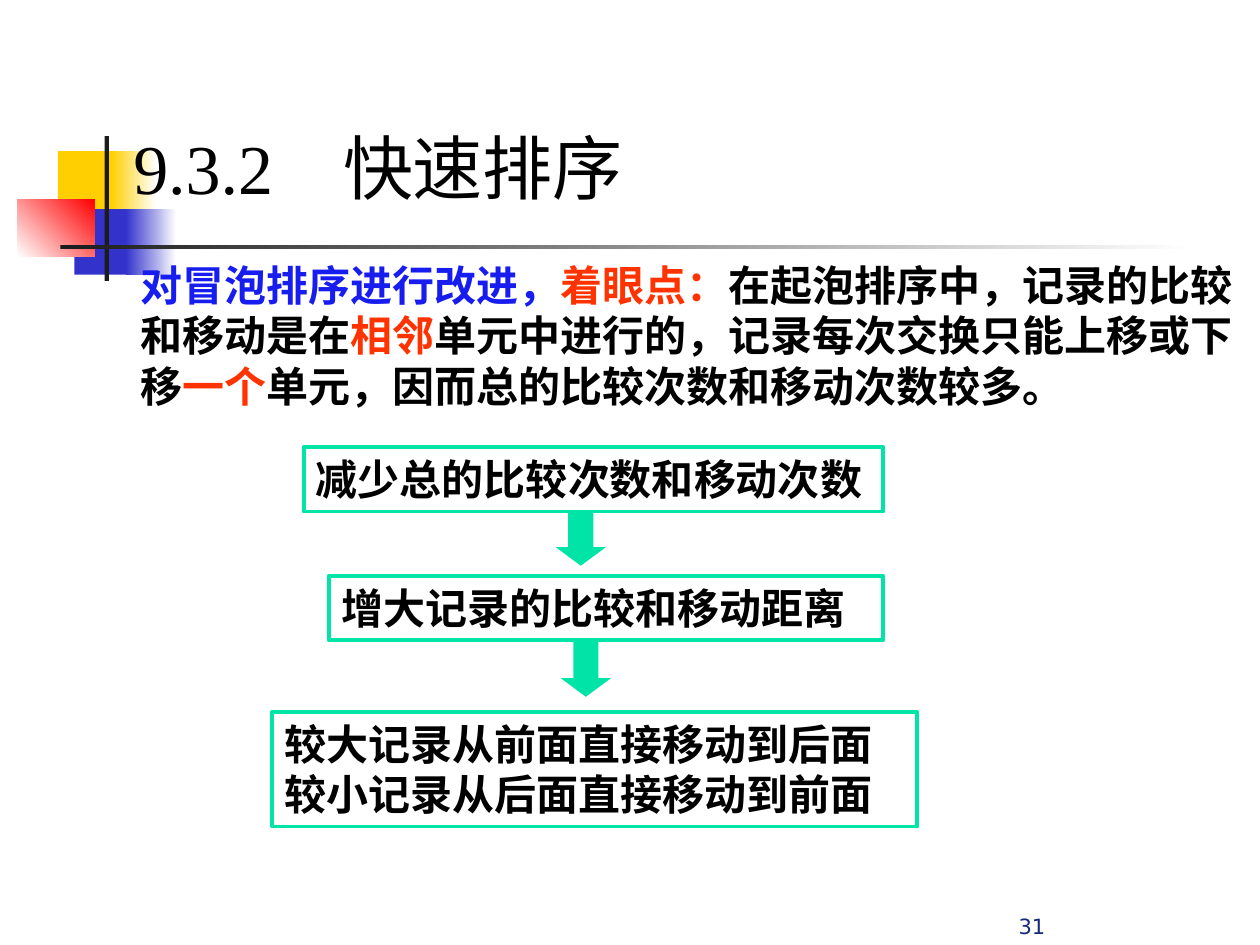
"""Build the quick sort slide: its idea and the chain of improvements over bubble sort."""
import pptx
import pptx.dml.color
import pptx.enum.lang
import pptx.enum.shapes
import pptx.enum.text
import pptx.oxml
import pptx.util

COLORS = {
    "yellow": "FFCF01", "indigo": "3333CC", "red": "FF0000", "white": "FFFFFF",
    "charcoal": "1C1C1C", "mint": "00E4A8", "black": "000000",
    "blue": "171CEF", "orange": "FF3300", "navy": "16297A",
}
RGB = {name: pptx.dml.color.RGBColor.from_string(value) for name, value in COLORS.items()}
SHAPES = pptx.enum.shapes.MSO_SHAPE
ANCHORS = pptx.enum.text.MSO_ANCHOR

presentation = pptx.Presentation()
presentation.slide_width = pptx.util.Inches(10)
presentation.slide_height = pptx.util.Inches(7.5)
column = presentation.slide_width / 100
row = presentation.slide_height / 75
slide = presentation.slides.add_slide(presentation.slide_layouts[6])


def add_block(kind, left, top, width, height, fills):
    area = [int(left * column), int(top * row), int(width * column), int(height * row)]
    shape = slide.shapes.add_shape(kind, *area) if kind else slide.shapes.add_textbox(*area)
    if not kind:
        return shape
    shape.shadow.inherit = False
    shape.line.fill.background()
    if not fills:
        shape.fill.background()
    elif len(fills) == 1:
        shape.fill.solid()
        shape.fill.fore_color.rgb = RGB[fills[0]]
    else:
        shape.fill.gradient()
        shape.fill.gradient_angle = 0
        for stop, name in zip(shape.fill.gradient_stops, fills):
            stop.color.rgb = RGB[name]
    return shape


def write_text(shape, paragraphs, font_name, size, bold, anchor=ANCHORS.TOP, align="LEFT"):
    frame = shape.text_frame
    frame.word_wrap = True
    frame.vertical_anchor = anchor
    for index, pieces in enumerate(paragraphs):
        paragraph = frame.add_paragraph() if index else frame.paragraphs[0]
        paragraph.alignment = pptx.enum.text.PP_ALIGN[align]
        for text, color in pieces:
            run = paragraph.add_run()
            run.text = text
            run.font.name = font_name
            run.font.size = pptx.util.Pt(size)
            run.font.bold = bold
            run.font.color.rgb = RGB[color]
            run.font.language_id = pptx.enum.lang.MSO_LANGUAGE_ID.SIMPLIFIED_CHINESE


ornaments = [
    (4.6, 12, 4.8, 5.2, ["yellow"]),
    (8.8, 12, 3.6, 5.2, ["yellow", "white"]),
    (5.9, 16.6, 4.6, 5.2, ["indigo"]),
    (10, 16.6, 4, 5.2, ["indigo", "white"]),
    (1.4, 15.8, 6.1, 4.6, ["white", "red"]),
    (8.3, 10.8, 0.35, 11.5, ["charcoal"]),
    (4.8, 19.45, 90, 0.35, ["charcoal", "white"]),
]
for left, top, width, height, fills in ornaments:
    ornament = add_block(SHAPES.RECTANGLE, left, top, width, height, fills)
    if fills == ["white", "red"]:
        ornament.fill.gradient_angle = 45

body = add_block(None, 10.2, 20.1, 89.8, 13.1, [])
write_text(body, [[
    ("对冒泡排序进行改进，", "blue"),
    ("着眼点：", "orange"),
    ("在起泡排序中，记录的比较和移动是在", "black"),
    ("相邻", "orange"),
    ("单元中进行的，记录每次交换只能上移或下移", "black"),
    ("一个", "orange"),
    ("单元，因而总的比较次数和移动次数较多。", "black"),
]], "Times New Roman", 24, True)

steps = [
    (24.1, 35.5, 46, 5.1, ["减少总的比较次数和移动次数"]),
    (26.1, 45.7, 44, 5.1, ["增大记录的比较和移动距离"]),
    (21.6, 56.5, 51.2, 9.1, ["较大记录从前面直接移动到后面", "较小记录从后面直接移动到前面"]),
]
for left, top, width, height, lines in steps:
    step = add_block(SHAPES.RECTANGLE, left, top, width, height, [])
    step.line.color.rgb = RGB["mint"]
    step.line.width = pptx.util.Pt(2.25)
    write_text(step, [[(line, "black")] for line in lines], "Arial", 24, True)

for left, top in [(44.1, 40.5), (44.5, 50.9)]:
    arrow = add_block(SHAPES.DOWN_ARROW, left, top, 4, 4.4, ["mint"])
    arrow.adjustments[1] = 0.37

title = add_block(None, 9.6, 9.4, 75, 7.7, [])
write_text(title, [[("9.3.2　快速排序", "black")]], "Times New Roman", 40, False)
shadow = pptx.oxml.parse_xml(
    '<a:effectLst xmlns:a="http://schemas.openxmlformats.org/drawingml/2006/main">'
    '<a:outerShdw dist="38100" dir="2700000"><a:srgbClr val="808080"/></a:outerShdw>'
    '</a:effectLst>'
)
title.text_frame.paragraphs[0].runs[0].font.fill.fore_color.rgb = RGB["black"]
properties = title.text_frame.paragraphs[0].runs[0].font._element
properties.insert(1, shadow)

page_number = add_block(None, 63.8, 72.6, 36.2, 2.4, [])
write_text(page_number, [[("31", "navy")]], "DejaVu Sans", 12, False, ANCHORS.BOTTOM, "CENTER")

presentation.save("out.pptx")
